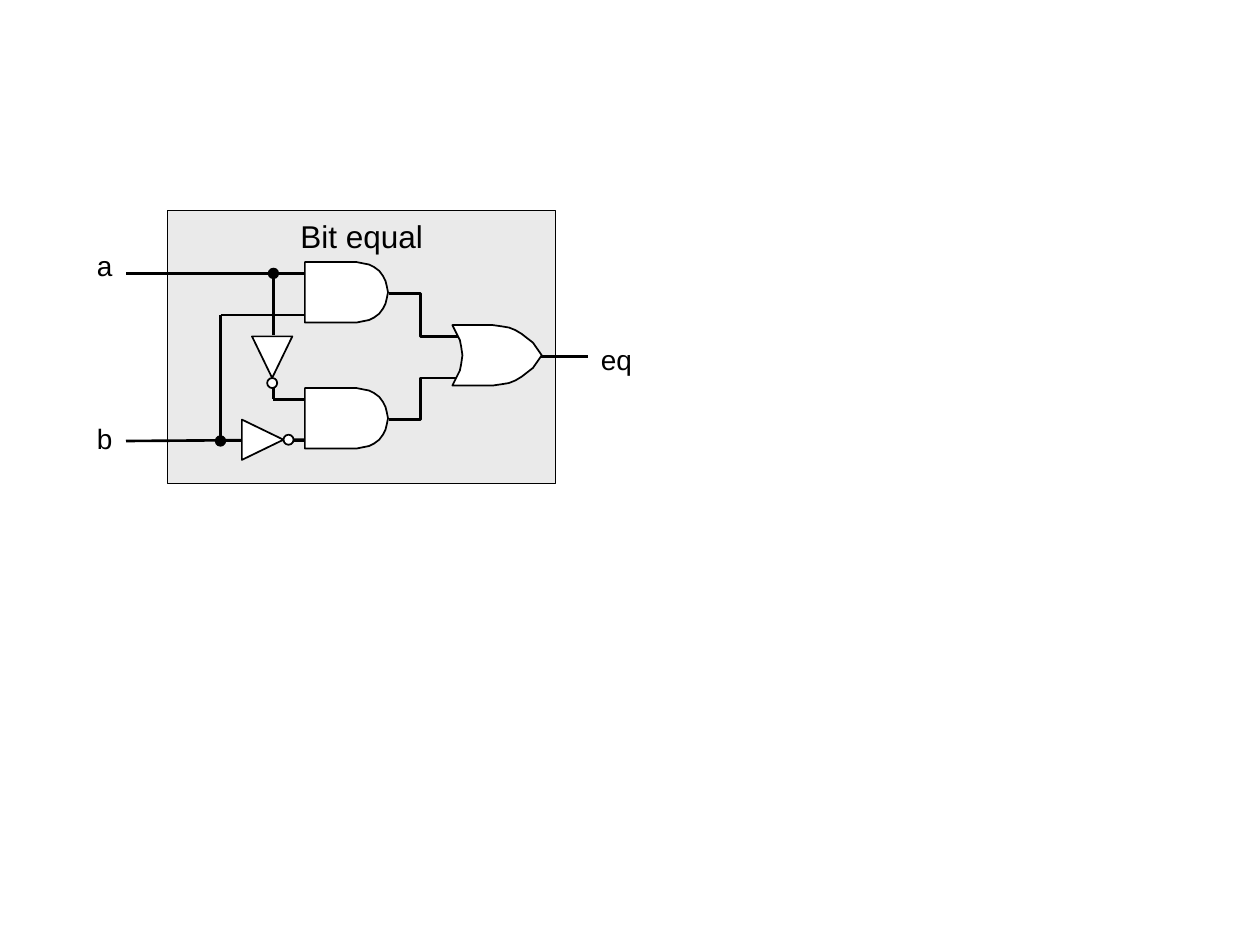
import pptx
import pptx.util
import pptx.dml.color
import pptx.oxml
import pptx.oxml.ns
from pptx.enum.shapes import MSO_CONNECTOR, MSO_SHAPE
from pptx.enum.text import MSO_ANCHOR, MSO_AUTO_SIZE, PP_ALIGN

Inches, Pt = pptx.util.Inches, pptx.util.Pt

COLORS = {"ink": "000000", "panel": "EAEAEA", "gate": "FFFFFF"}
FONT = "Arial"

PANEL = (1.33, 1.67, 3.08, 2.17)
TITLE = "Bit equal"

# text, left, top, width, alignment, wrap
LABELS = [
    ("a", 0.67, 1.92, 0.32, PP_ALIGN.RIGHT, False),
    ("b", 0.67, 3.3, 0.32, PP_ALIGN.RIGHT, False),
    ("eq", 4.67, 2.67, 0.66, PP_ALIGN.LEFT, True),
]

# x1, y1, x2, y2
WIRES = [
    (1, 2.17, 2.42, 2.17),     # a to the upper AND
    (2.25, 2.17, 2.42, 2.17),
    (2.17, 2.17, 2.17, 2.5),   # a down to its inverter
    (2.17, 2.5, 2.17, 2.66),
    (2.17, 3, 2.17, 3.17),     # inverted a to the lower AND
    (2.17, 3.17, 2.42, 3.17),
    (1, 3.5, 2.42, 3.49),      # b to the lower AND
    (1.75, 3.5, 1.92, 3.5),
    (2.25, 3.5, 2.42, 3.5),
    (1.75, 3.5, 1.75, 2.5),    # b up to the upper AND
    (1.75, 2.5, 2.42, 2.5),
    (4.24, 2.83, 4.67, 2.83),  # OR to eq
]
AND_TO_OR = [
    [(3.09, 2.33), (3.34, 2.33), (3.34, 2.67), (3.67, 2.67)],
    [(3.09, 3.33), (3.34, 3.33), (3.34, 3), (3.67, 3)],
]

# Upper halves of the gate outlines, measured from each gate's left end of its axis
GATE_HALF = 0.24
AND_HALF = [(0, -0.24), (0.41, -0.24), (0.46, -0.23), (0.51, -0.22), (0.55, -0.2),
            (0.59, -0.17), (0.62, -0.13), (0.64, -0.09), (0.65, -0.05), (0.66, 0)]
OR_HALF = [(0.08, 0), (0.07, -0.07), (0.06, -0.12), (0.03, -0.18), (0, -0.24),
           (0.32, -0.24), (0.39, -0.23), (0.45, -0.22), (0.5, -0.2),
           (0.55, -0.17), (0.64, -0.1), (0.71, 0)]
GATES = [(AND_HALF, 2.42, 2.32), (AND_HALF, 2.42, 3.32), (OR_HALF, 3.59, 2.82)]

INVERTERS = [[(2.32, 2.67), (2, 2.67), (2.16, 3)],
             [(1.92, 3.65), (1.92, 3.33), (2.25, 3.49)]]
BUBBLES = [(2.16, 3.04), (2.29, 3.49)]
JUNCTIONS = [(2.17, 2.17), (1.75, 3.5)]
DOT = 0.08


def rgb(name):
    return pptx.dml.color.RGBColor.from_string(COLORS[name])


def paint(shape, fill, width):
    """Set fill (None for no fill) and a black outline, without shadow."""
    shape.shadow.inherit = False
    if fill:
        shape.fill.solid()
        shape.fill.fore_color.rgb = rgb(fill)
    else:
        shape.fill.background()
    shape.line.color.rgb = rgb("ink")
    shape.line.width = Pt(width)


def write(shape, text, size, align, wrap):
    frame = shape.text_frame
    frame.word_wrap = wrap
    frame.vertical_anchor = MSO_ANCHOR.TOP
    para = frame.paragraphs[0]
    para.text = text
    para.alignment = align
    para.font.name = FONT
    para.font.size = Pt(size)
    para.font.color.rgb = rgb("ink")


def add_preset(page, kind, box, fill, width):
    shape = page.shapes.add_shape(kind, *map(Inches, box))
    paint(shape, fill, width)
    return shape


def add_wire(page, *ends):
    wire = page.shapes.add_connector(MSO_CONNECTOR.STRAIGHT, *map(Inches, ends))
    wire.line.color.rgb = rgb("ink")
    wire.line.width = Pt(1.5)
    properties = wire._element.spPr
    properties.append(properties.makeelement(pptx.oxml.ns.qn("a:effectLst"), {}))


def add_outline(page, points, fill, width, close):
    points = [(Inches(x), Inches(y)) for x, y in points]
    builder = page.shapes.build_freeform(*points[0])
    builder.add_line_segments(points[1:], close=close)
    paint(builder.convert_to_shape(), fill, width)


def add_gate(page, half, left, axis):
    """Mirror the upper half of a gate about its axis."""
    lower = [(x, -y) for x, y in reversed(half) if y]
    add_outline(page, [(left + x, axis + y) for x, y in half + lower],
                "gate", 1, True)


def add_dot(page, x, y, fill, width):
    add_preset(page, MSO_SHAPE.OVAL, (x - DOT / 2, y - DOT / 2, DOT, DOT), fill, width)


def main():
    deck = pptx.Presentation()
    deck.slide_width, deck.slide_height = Inches(10), Inches(7.5)
    page = deck.slides.add_slide(deck.slide_layouts[6])

    panel = add_preset(page, MSO_SHAPE.RECTANGLE, PANEL, "panel", 0.75)
    write(panel, TITLE, 18, PP_ALIGN.CENTER, False)

    for ends in WIRES:
        add_wire(page, *ends)
    for points in AND_TO_OR:
        add_outline(page, points, None, 1.5, False)
    for gate in GATES:
        add_gate(page, *gate)
    for points in INVERTERS:
        add_outline(page, points, "gate", 1, True)
    for x, y in BUBBLES:
        add_dot(page, x, y, "gate", 1)
    for x, y in JUNCTIONS:
        add_dot(page, x, y, "ink", 0.75)

    for text, left, top, width, align, wrap in LABELS:
        box = page.shapes.add_textbox(*map(Inches, (left, top, width, 0.37)))
        write(box, text, 16, align, wrap)
        box.text_frame.auto_size = MSO_AUTO_SIZE.SHAPE_TO_FIT_TEXT

    deck.save("out.pptx")


if __name__ == "__main__":
    main()
